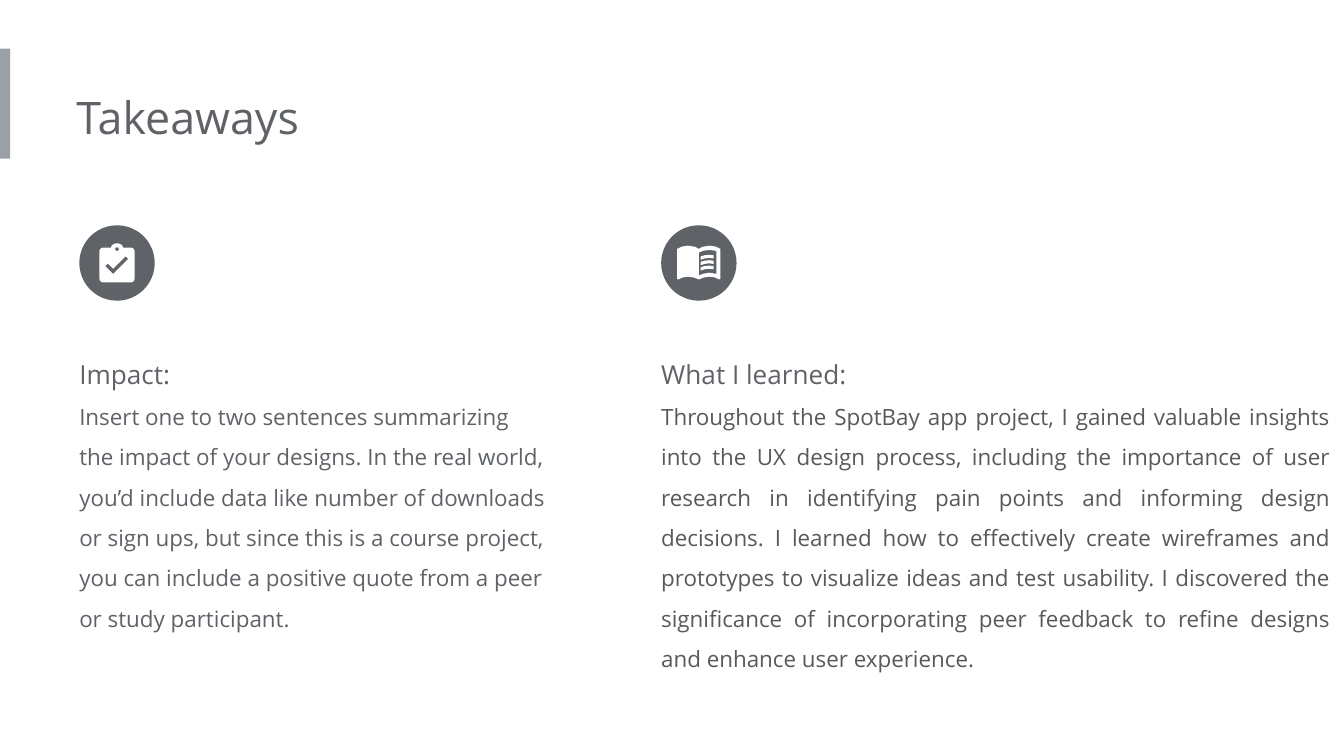
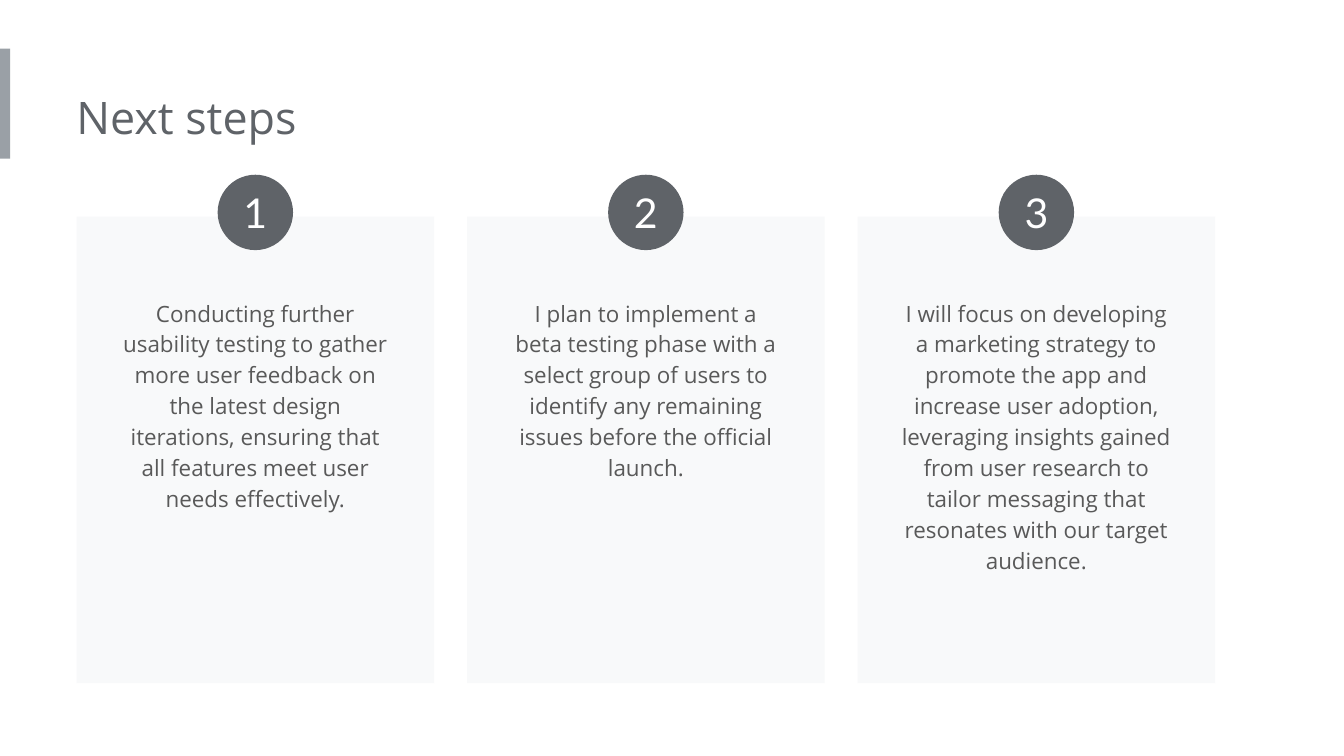
"""Build the takeaways and next steps slides."""
from copy import deepcopy
from math import cos, radians, sin

from pptx import Presentation
from pptx.dml.color import RGBColor
from pptx.enum.shapes import MSO_SHAPE
from pptx.enum.text import MSO_ANCHOR, MSO_AUTO_SIZE, PP_ALIGN
from pptx.util import Pt

COLORS = {"bar": "9AA0A6", "slate": "5F6368", "body": "595959",
          "card": "F8F9FA", "white": "FFFFFF"}

STYLES = {
    "title": {"size": 24, "name": "Open Sans", "color": "slate"},
    "heading": {"size": 14, "name": "Open Sans", "color": "slate"},
    "prompt": {"size": 12, "name": "Open Sans", "color": "slate"},
    "body": {"size": 12, "name": "Open Sans", "color": "body"},
    "number": {"size": 22, "name": "Lato", "color": "white"},
}

TAKEAWAYS = [
    {"left": 42.5, "width": 271.4, "height": 163.4, "icon": "clipboard",
     "heading": "Impact:", "style": "prompt", "align": PP_ALIGN.LEFT,
     "text": "Insert one to two sentences summarizing \vthe impact of your "
             "designs. In the real world, you’d include data like number of "
             "downloads or sign ups, but since this is a course project, you "
             "can include a positive quote from a peer \vor study participant."},
    {"left": 354.2, "width": 365.8, "height": 185.8, "icon": "book",
     "heading": "What I learned:", "style": "body", "align": PP_ALIGN.JUSTIFY,
     "text": "Throughout the SpotBay app project, I gained valuable insights "
             "into the UX design process, including the importance of user "
             "research in identifying pain points and informing design "
             "decisions. I learned how to effectively create wireframes and "
             "prototypes to visualize ideas and test usability. I discovered "
             "the significance of incorporating peer feedback to refine "
             "designs and enhance user experience."},
]

NEXT_STEPS = [
    ("Conducting further usability testing to gather more user feedback on "
     "the latest design iterations, ensuring that all features meet user "
     "needs effectively.", 129.6),
    ("I plan to implement a beta testing phase with a select group of users "
     "to identify any remaining issues before the official launch.", 113),
    ("I will focus on developing a marketing strategy to promote the app and "
     "increase user adoption, leveraging insights gained from user research "
     "to tailor messaging that resonates with our target audience.", 162.7),
]

BADGE = 40.4
CARD_LEFT, CARD_TOP, CARD_WIDTH, CARD_HEIGHT, CARD_PITCH = 41, 116, 191.6, 250, 209.2

TICK = [(-2.1, 5.9), (-6.3, 1.7), (-4.9, 0.3), (-2.1, 3.1), (4.6, -3.6), (6, -2.2)]
LEFT_PAGE = [(0, -7.6), (-2, -8.7), (-5.8, -9.3), (-9, -8.8), (-11.6, -7.6),
             (-11.6, 8.4), (-11, 8.8), (-8.6, 7.7), (-5.8, 7.3), (-2.5, 7.8), (0, 8.8)]
PAGE_CUT = [(0, -5.6), (2.5, -6.6), (5.8, -7), (9.4, -6.5),
            (9.4, 5.8), (5.8, 5.2), (2.5, 5.7), (0, 6.6)]
TEXT_LINE = [(0.9, -3.5), (3, -4.1), (5.5, -4.4), (7.9, -4.1),
             (7.9, -2.4), (5.5, -2.7), (3, -2.4), (0.9, -1.7)]
LINE_PITCH = 2.9


def arc(center, radii, start, end):
    """Return points along an elliptical arc, in degrees."""
    angles = [radians(start + (end - start) * step / 12) for step in range(13)]
    return [(center[0] + radii[0] * cos(a), center[1] + radii[1] * sin(a)) for a in angles]


def clipboard():
    """Return the clipboard as one shape with three contours."""
    board = (arc((0, -8.2), (3.2, 2.3), 180, 360)
             + arc((7.4, -6.2), (2, 2), -90, 0) + arc((7.4, 8.4), (2, 2), 0, 90)
             + arc((-7.4, 8.4), (2, 2), 90, 180) + arc((-7.4, -6.2), (2, 2), 180, 270))
    return [[board, arc((0, -7.4), (1, 1), 0, 360), TICK]]


def book():
    """Return the open book and its three text lines."""
    right_page = [(-x, y) for x, y in reversed(LEFT_PAGE)]
    lines = [[[(x, y + row * LINE_PITCH) for x, y in TEXT_LINE]] for row in range(3)]
    return [[LEFT_PAGE + right_page, PAGE_CUT]] + lines


ICONS = {"clipboard": clipboard, "book": book}


def paint(shape, color):
    """Give a shape a flat fill with no line or shadow."""
    shape.shadow.inherit = False
    shape.fill.solid()
    shape.fill.fore_color.rgb = RGBColor.from_string(COLORS[color])
    shape.line.fill.background()


def add_block(page, kind, left, top, width, height, color):
    """Add a flat preset shape."""
    block = page.shapes.add_shape(kind, Pt(left), Pt(top), Pt(width), Pt(height))
    paint(block, color)
    return block


def write(para, text, style, **layout):
    """Fill a paragraph and format its spans and line breaks."""
    para.text = text
    for name, value in layout.items():
        setattr(para, name, value)
    look = STYLES[style]
    for span in para.runs:
        for name, value in {"size": Pt(look["size"]), "name": look["name"]}.items():
            setattr(span.font, name, value)
        span.font.color.rgb = RGBColor.from_string(COLORS[look["color"]])
    for line_break in para._p.br_lst:
        line_break.append(deepcopy(para.runs[0]._r.rPr))


def set_frame(frame, left, others, **extra):
    """Set wrapping and insets of a text frame."""
    values = {"word_wrap": True, "margin_left": Pt(left), "margin_top": Pt(others),
              "margin_right": Pt(others), "margin_bottom": Pt(others), **extra}
    for name, value in values.items():
        setattr(frame, name, value)
    return frame


def add_text(page, left, top, width, height, inset=0):
    """Add a text box that grows with its text."""
    box = page.shapes.add_textbox(Pt(left), Pt(top), Pt(width), Pt(height))
    return set_frame(box.text_frame, inset, 7.2, auto_size=MSO_AUTO_SIZE.SHAPE_TO_FIT_TEXT)


def add_badge(page, left, top):
    """Add a round dark badge."""
    return add_block(page, MSO_SHAPE.OVAL, left, top, BADGE, BADGE, "slate")


def draw_icon(page, parts, center_x, center_y):
    """Draw white outlines around a center point."""
    for contours in parts:
        builder = None
        for contour in contours:
            points = [(Pt(x), Pt(y)) for x, y in contour]
            if builder is None:
                builder = page.shapes.build_freeform(*points[0])
            else:
                builder.move_to(*points[0])
            builder.add_line_segments(points[1:], close=True)
        paint(builder.convert_to_shape(Pt(center_x), Pt(center_y)), "white")


def add_page(deck, title):
    """Add a page with the side bar and title."""
    page = deck.slides.add_slide(deck.slide_layouts[6])
    add_block(page, MSO_SHAPE.RECTANGLE, 0, 26, 5.5, 59, "bar")
    write(add_text(page, 41, 41, 388, 44).paragraphs[0], title, "title")
    return page


def build_takeaways(deck):
    """Add two columns, each under an icon."""
    page = add_page(deck, "Takeaways")
    top = 120.7
    for column in TAKEAWAYS:
        left = column["left"]
        frame = add_text(page, left, 176.4, column["width"], column["height"])
        write(frame.paragraphs[0], column["heading"], "heading", line_spacing=1.5)
        write(frame.add_paragraph(), column["text"], column["style"],
              alignment=column["align"], line_spacing=1.5)
        add_badge(page, left, top)
        draw_icon(page, ICONS[column["icon"]](), left + BADGE / 2, top + BADGE / 2)


def build_next_steps(deck):
    """Add three numbered cards."""
    page = add_page(deck, "Next steps")
    for index, (text, height) in enumerate(NEXT_STEPS):
        left = CARD_LEFT + index * CARD_PITCH
        add_block(page, MSO_SHAPE.RECTANGLE, left, CARD_TOP, CARD_WIDTH, CARD_HEIGHT, "card")
        frame = add_text(page, left + 15.2, 151.2, CARD_WIDTH - 30.4, height, 7.2)
        write(frame.paragraphs[0], text, "body", alignment=PP_ALIGN.CENTER, line_spacing=1.15)
        badge = add_badge(page, left + (CARD_WIDTH - BADGE) / 2, 93.6)
        frame = set_frame(badge.text_frame, 0, 0, vertical_anchor=MSO_ANCHOR.MIDDLE)
        write(frame.paragraphs[0], str(index + 1), "number", alignment=PP_ALIGN.CENTER)


def main():
    """Build and save the deck."""
    deck = Presentation()
    deck.slide_width, deck.slide_height = Pt(720), Pt(405)
    build_takeaways(deck)
    build_next_steps(deck)
    deck.save("out.pptx")


if __name__ == "__main__":
    main()
